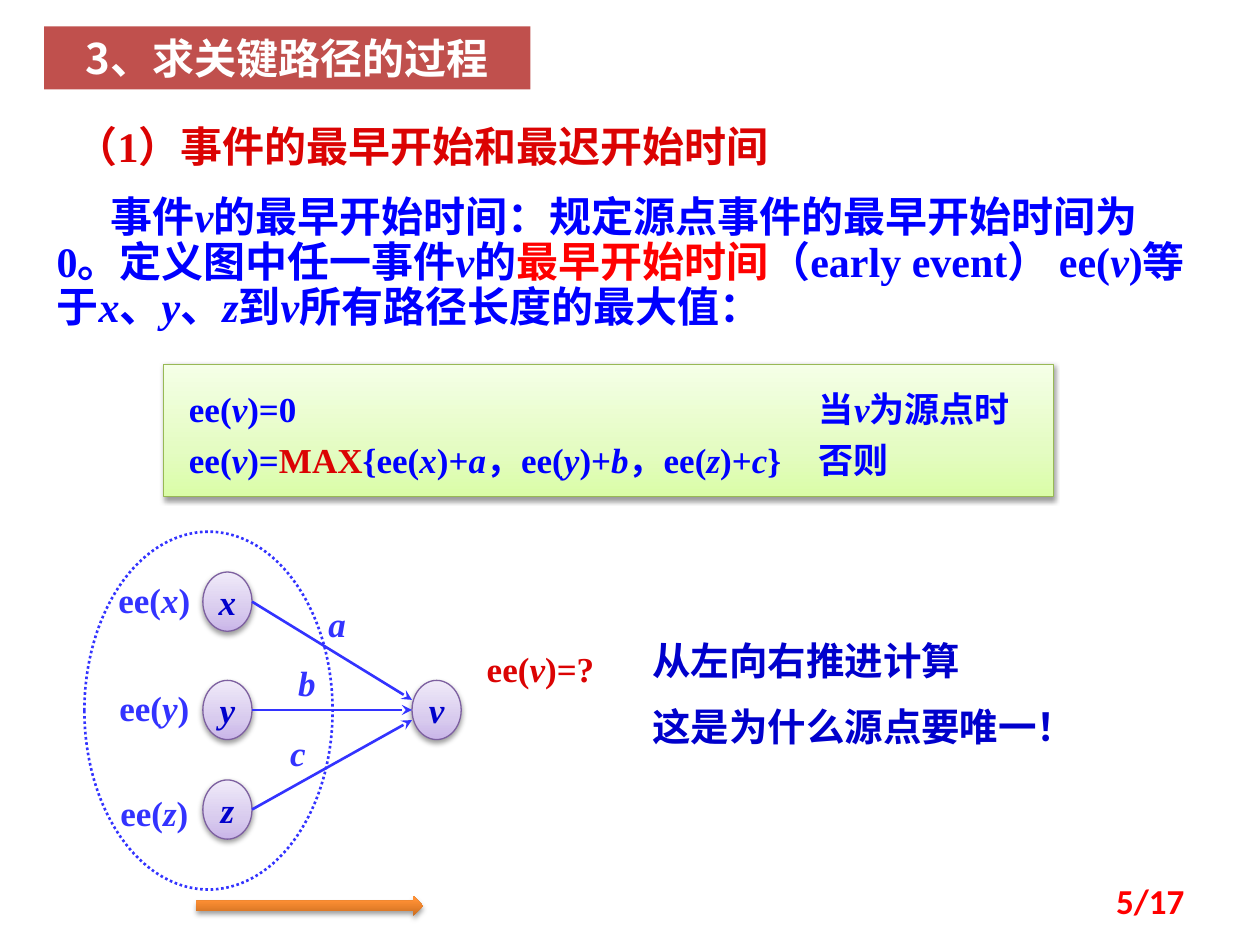
from dataclasses import dataclass

from lxml import etree
from pptx import Presentation
from pptx.dml.color import RGBColor
from pptx.enum.dml import MSO_LINE
from pptx.enum.shapes import MSO_CONNECTOR, MSO_SHAPE
from pptx.enum.text import MSO_ANCHOR, MSO_AUTO_SIZE, PP_ALIGN
from pptx.oxml.ns import qn
from pptx.util import Inches, Pt


@dataclass(frozen=True)
class Theme:
    serif: str = "Times New Roman"
    heading: str = "Noto Sans CJK SC"
    number: str = "Calibri"
    white: str = "FFFFFF"
    bar: str = "C0504D"
    blue: str = "0000FF"
    navy: str = "0000CC"
    edge: str = "3333FF"
    crimson: str = "DB0303"
    red: str = "FF0000"
    green_line: str = "98B955"
    node_line: str = "7D60A0"
    green: tuple = ((0, "DAFDA7"), (35, "E4FCC2"), (100, "F5FFE7"))
    violet: tuple = ((0, "C9B5E8"), (35, "D8CBEE"), (100, "F0EAF9"))
    orange: tuple = ((0, "CC6E20"), (80, "FF9034"), (100, "FF9136"))
    large: int = 24
    medium: int = 22
    small: int = 20


T = Theme()


def rgb(value):
    return RGBColor.from_string(value)


def place(shape, left, top, width, height):
    shape.left, shape.top = Inches(left), Inches(top)
    shape.width, shape.height = Inches(width), Inches(height)


def write(paragraph, parts, size, font=T.serif, align=PP_ALIGN.LEFT, before=0, spacing=1.0):
    paragraph.alignment = align
    paragraph.space_before = Pt(before)
    paragraph.line_spacing = spacing
    for text, color in parts:
        for index, piece in enumerate(text.split("*")):
            if piece:
                run = paragraph.add_run()
                run.text = piece
                run.font.size, run.font.name = Pt(size), font
                run.font.bold, run.font.italic = True, index % 2 == 1
                run.font.color.rgb = rgb(color)


def next_paragraph(frame, index):
    return frame.paragraphs[0] if index == 0 else frame.add_paragraph()


def set_indent(paragraph, first_line):
    properties = paragraph._p.get_or_add_pPr()
    properties.set("marL", "0")
    properties.set("indent", str(Inches(first_line)))
    etree.SubElement(properties, qn("a:buNone"))


def set_tab(paragraph, position):
    tabs = etree.SubElement(paragraph._p.get_or_add_pPr(), qn("a:tabLst"))
    etree.SubElement(tabs, qn("a:tab"), pos=str(Inches(position)), algn="l")


def add_label(slide, box, text, color, size=T.small, align=PP_ALIGN.CENTER, font=T.serif):
    label = slide.shapes.add_textbox(*map(Inches, box))
    label.text_frame.word_wrap = True
    for index, line in enumerate(text.split("\n")):
        write(next_paragraph(label.text_frame, index), [(line, color)], size, font, align, size / 2)
    return label


def add_plain(slide, kind, box, line=None, width=0.75):
    shape = slide.shapes.add_shape(kind, *map(Inches, box))
    shape.shadow.inherit = False
    shape.fill.background()
    if line:
        shape.line.color.rgb, shape.line.width = rgb(line), Pt(width)
    else:
        shape.line.fill.background()
    return shape


def add_glossy(slide, kind, box, stops, line=None):
    shape = add_plain(slide, kind, box, line)
    shape.fill.gradient()
    shape.fill.gradient_angle = 90
    properties = shape._element.spPr
    stop_list = properties.find(".//" + qn("a:gsLst"))
    for old in list(stop_list):
        stop_list.remove(old)
    for position, color in stops:
        stop = etree.SubElement(stop_list, qn("a:gs"), pos=str(position * 1000))
        etree.SubElement(stop, qn("a:srgbClr"), val=color)
    shadow = etree.SubElement(
        properties.find(qn("a:effectLst")), qn("a:outerShdw"),
        blurRad=str(Pt(3.1)), dist=str(Pt(1.6)), dir="5400000", rotWithShape="0")
    black = etree.SubElement(shadow, qn("a:srgbClr"), val="000000")
    etree.SubElement(black, qn("a:alpha"), val="38000")
    return shape


def add_edge(slide, start, end):
    edge = slide.shapes.add_connector(MSO_CONNECTOR.STRAIGHT, *map(Inches, start + end))
    edge.line.color.rgb, edge.line.width = rgb(T.edge), Pt(1.5)
    etree.SubElement(edge.line._get_or_add_ln(), qn("a:tailEnd"), type="stealth")
    etree.SubElement(edge._element.spPr, qn("a:effectLst"))


def title_bar(slide, box):
    title = slide.shapes.title
    place(title, *box)
    title.fill.solid()
    title.fill.fore_color.rgb = rgb(T.bar)
    frame = title.text_frame
    frame.vertical_anchor, frame.auto_size = MSO_ANCHOR.TOP, MSO_AUTO_SIZE.NONE
    write(frame.paragraphs[0], [("3、求关键路径的过程", T.white)], T.large, T.heading, PP_ALIGN.CENTER)


def definition(slide, box):
    body = slide.placeholders[1]
    place(body, *box)
    frame = body.text_frame
    frame.auto_size = MSO_AUTO_SIZE.NONE
    paragraphs = [
        ([("（1）事件的最早开始和最迟开始时间", T.crimson)], 0.15, 1.0),
        ([("事件*v*的最早开始时间：规定源点事件的最早开始时间为0。定义图中任一事件*v*的", T.blue),
          ("最早开始时间", T.red),
          ("（early event） ee(*v*)等于*x*、*y*、*z*到*v*所有路径长度的最大值：", T.blue)], 0.43, 0.9),
    ]
    for index, (parts, indent, spacing) in enumerate(paragraphs):
        paragraph = next_paragraph(frame, index)
        write(paragraph, parts, T.large, before=14, spacing=spacing)
        set_indent(paragraph, indent)


def formula_box(slide, box):
    frame = add_glossy(slide, MSO_SHAPE.RECTANGLE, box, T.green, T.green_line).text_frame
    frame.word_wrap, frame.vertical_anchor = True, MSO_ANCHOR.TOP
    frame.margin_left = frame.margin_right = Inches(0.2)
    frame.margin_top = frame.margin_bottom = Inches(0.12)
    rows = [
        [("ee(*v*)=0\t当*v*为源点时", T.blue)],
        [("ee(*v*)=", T.blue), ("MAX", T.crimson),
         ("{ee(*x*)+*a*，ee(*y*)+*b*，ee(*z*)+*c*}\t否则", T.blue)],
    ]
    for index, parts in enumerate(rows):
        paragraph = next_paragraph(frame, index)
        write(paragraph, parts, T.small, spacing=1.2)
        set_tab(paragraph, 5)


def add_node(slide, left, top, width, height, name):
    node = add_glossy(slide, MSO_SHAPE.OVAL, (left, top, width, height), T.violet, T.node_line)
    node.text_frame.word_wrap = False
    node.text_frame.vertical_anchor = MSO_ANCHOR.MIDDLE
    write(node.text_frame.paragraphs[0], [(f"*{name}*", T.navy)], T.small, align=PP_ALIGN.CENTER)


def event_graph(slide, box):
    left, top, width, height = box
    node_w, node_h = 0.39, 0.47
    source_x, target_x, target_y = left + 0.94, left + 2.6, top + 1.18
    region = add_plain(slide, MSO_SHAPE.OVAL, (left, top, 1.97, height), T.edge, 1.5)
    region.line.dash_style = MSO_LINE.ROUND_DOT
    add_node(slide, target_x, target_y, node_w, node_h, "v")
    sources = [
        ("x", 0.32, 0.32, -0.08, "a", 1.81, 0.51),
        ("y", 1.18, 1.18, 0, "b", 1.57, 0.98),
        ("z", 1.97, 2.01, 0.08, "c", 1.5, 1.54),
    ]
    for name, node_y, label_y, shift, weight, weight_x, weight_y in sources:
        add_node(slide, source_x, top + node_y, node_w, node_h, name)
        add_edge(slide, (source_x + node_w, top + node_y + node_h / 2),
                 (target_x, target_y + node_h / 2 + shift))
        add_label(slide, (left + 0.16, top + label_y, 0.79, 0.43), f"ee(*{name}*)", T.edge)
        add_label(slide, (left + weight_x, top + weight_y, 0.39, 0.43), f"*{weight}*", T.edge)
    add_label(slide, (left + 2.91, top + 0.87, 1.42, 0.43), "ee(*v*)=?", T.crimson)
    add_glossy(slide, MSO_SHAPE.RIGHT_ARROW, (left + 0.89, top + height + 0.05, 1.8, 0.16), T.orange)


def page_number(slide, box):
    label = add_label(slide, box, "5/17", T.red, align=PP_ALIGN.RIGHT, font=T.number)
    label.text_frame.vertical_anchor = MSO_ANCHOR.MIDDLE


prs = Presentation()
prs.slide_width, prs.slide_height = Inches(10), Inches(7.5)
slide = prs.slides.add_slide(prs.slide_layouts[1])
title_bar(slide, (0.35, 0.21, 3.86, 0.5))
definition(slide, (0.35, 0.91, 9.25, 1.89))
formula_box(slide, (1.3, 2.89, 7.06, 1.05))
event_graph(slide, (0.67, 4.22, 4.33, 2.84))
add_label(slide, (5.08, 5.01, 4.33, 1.03), "从左向右推进计算\n这是为什么源点要唯一！", T.navy, T.medium, PP_ALIGN.LEFT)
page_number(slide, (7.17, 6.95, 2.33, 0.4))
prs.save("out.pptx")
